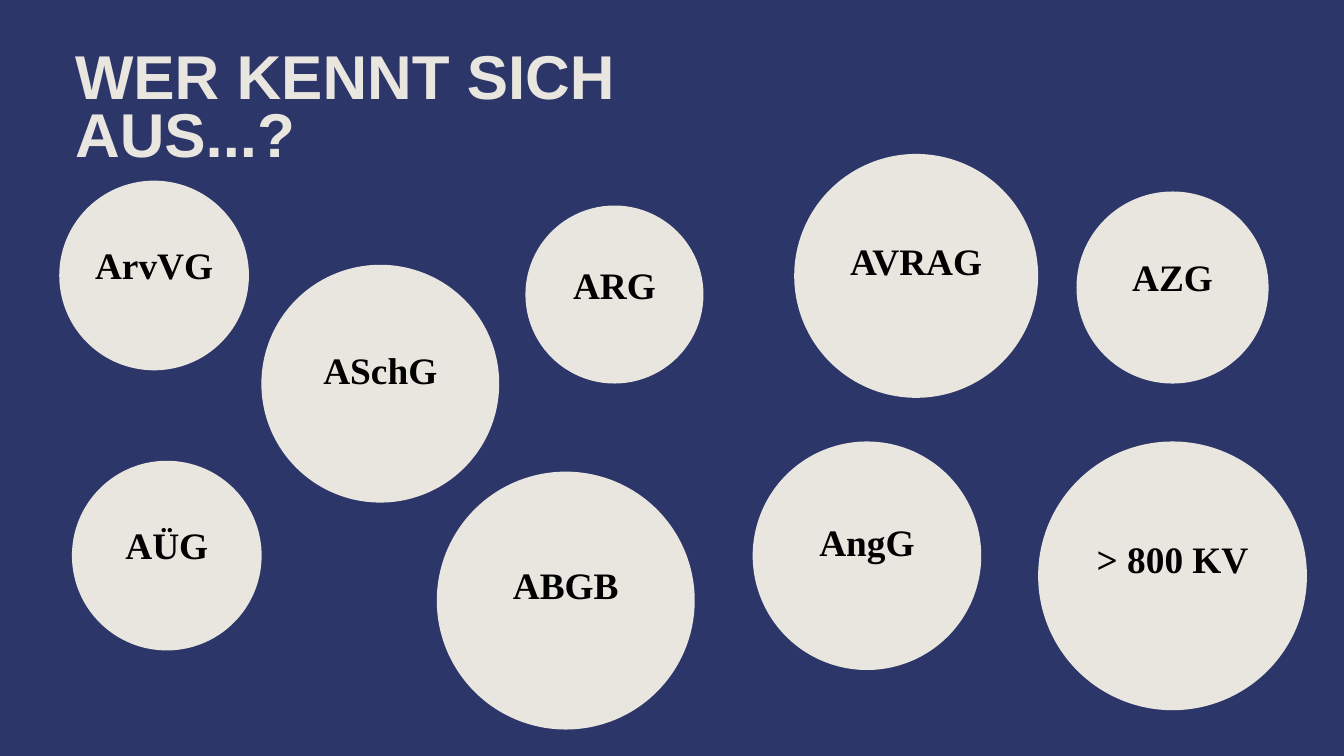
from pptx import Presentation
from pptx.dml.color import RGBColor
from pptx.enum.shapes import MSO_SHAPE as Shape
from pptx.enum.text import MSO_ANCHOR as Anchor, PP_ALIGN as Align
from pptx.util import Cm, Pt

NAVY, CREAM, BLACK = "2D3669", "E9E6E0", "000000"

# Label, left, top and diameter in cm
LAWS = [
    ("ABGB", 16.51, 17.83, 9.75),
    ("AVRAG", 30.02, 5.82, 9.22),
    ("AngG", 28.45, 16.69, 8.64),
    ("AZG", 40.69, 7.24, 7.26),
    ("ARG", 19.86, 7.77, 6.73),
    ("ArvVG", 2.24, 6.83, 7.17),
    ("ASchG", 9.88, 10.01, 8.99),
    ("AÜG", 2.72, 17.42, 7.17),
    ("> 800 KV", 39.24, 16.69, 10.16),
]


def paint(fill, color):
    fill.solid()
    fill.fore_color.rgb = RGBColor.from_string(color)


def write(shapes, text, x, y, w, h, *, font, size, color, lead,
          align=Align.LEFT, anchor=Anchor.TOP, pad=0):
    box = shapes.add_textbox(Cm(x), Cm(y), Cm(w), Cm(h))
    frame = box.text_frame
    frame.word_wrap = True
    frame.vertical_anchor = anchor
    frame.margin_left = frame.margin_right = Cm(pad)
    frame.margin_top = frame.margin_bottom = Cm(pad)
    para = frame.paragraphs[0]
    para.alignment = align
    para.line_spacing = Pt(lead)
    run = para.add_run()
    run.text = text
    run.font.name = font
    run.font.size = Pt(size)
    run.font.bold = True
    paint(run.font.fill, color)


def title(slide, x, y, w, h):
    write(slide.shapes, "WER KENNT SICH AUS...?", x, y, w, h,
          font="Arial", size=66.3, color=CREAM, lead=62.3)


def bubble(slide, label, x, y, d):
    group = slide.shapes.add_group_shape()
    disc = group.shapes.add_shape(Shape.OVAL, Cm(x), Cm(y), Cm(d), Cm(d))
    disc.shadow.inherit = False
    paint(disc.fill, CREAM)
    disc.line.fill.background()
    # The label sits a little above the middle of the disc
    write(group.shapes, label, x + 0.094 * d, y - 0.06 * d,
          0.812 * d, 0.966 * d, font="Times New Roman", size=40,
          color=BLACK, lead=56, align=Align.CENTER, anchor=Anchor.MIDDLE,
          pad=0.15)


def main():
    deck = Presentation()
    deck.slide_width, deck.slide_height = Cm(50.8), Cm(28.58)
    slide = deck.slides.add_slide(deck.slide_layouts[6])
    paint(slide.background.fill, NAVY)
    title(slide, 2.84, 2.03, 29.2, 2.9)
    for law in LAWS:
        bubble(slide, *law)
    deck.save("out.pptx")


if __name__ == "__main__":
    main()
